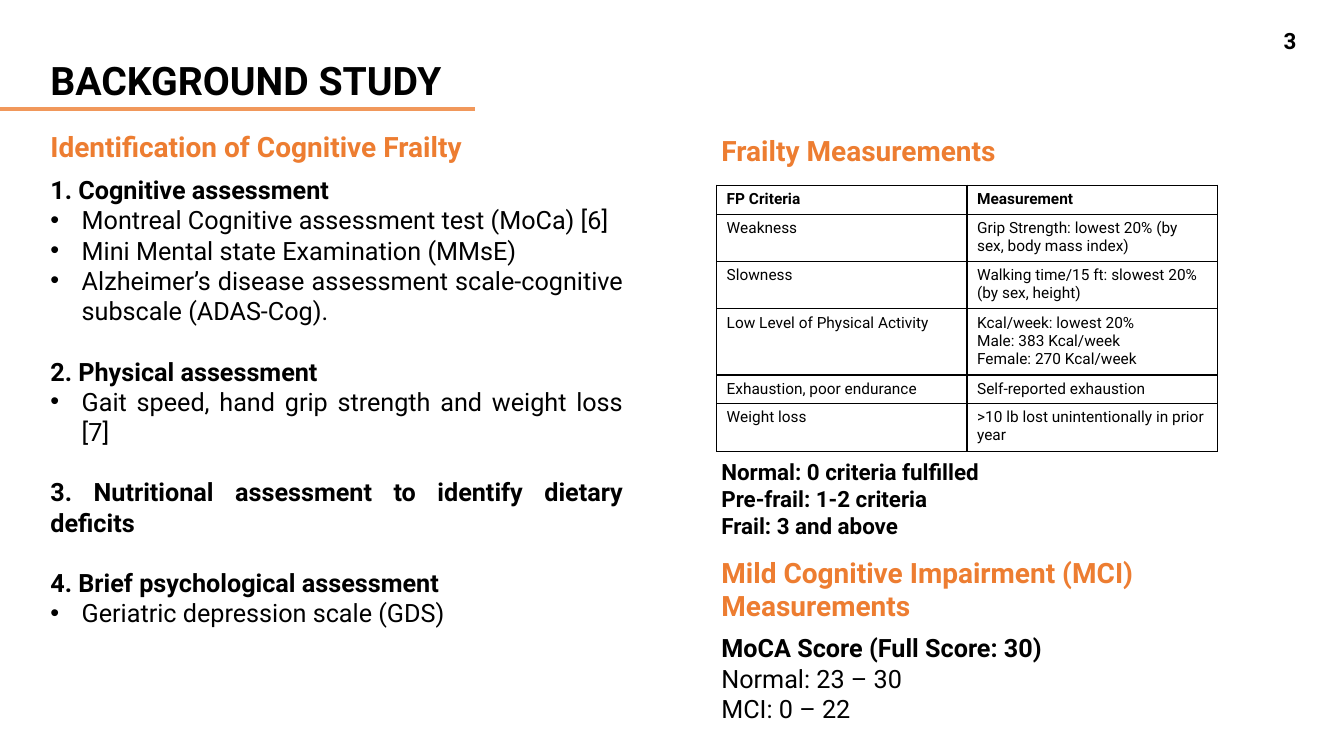
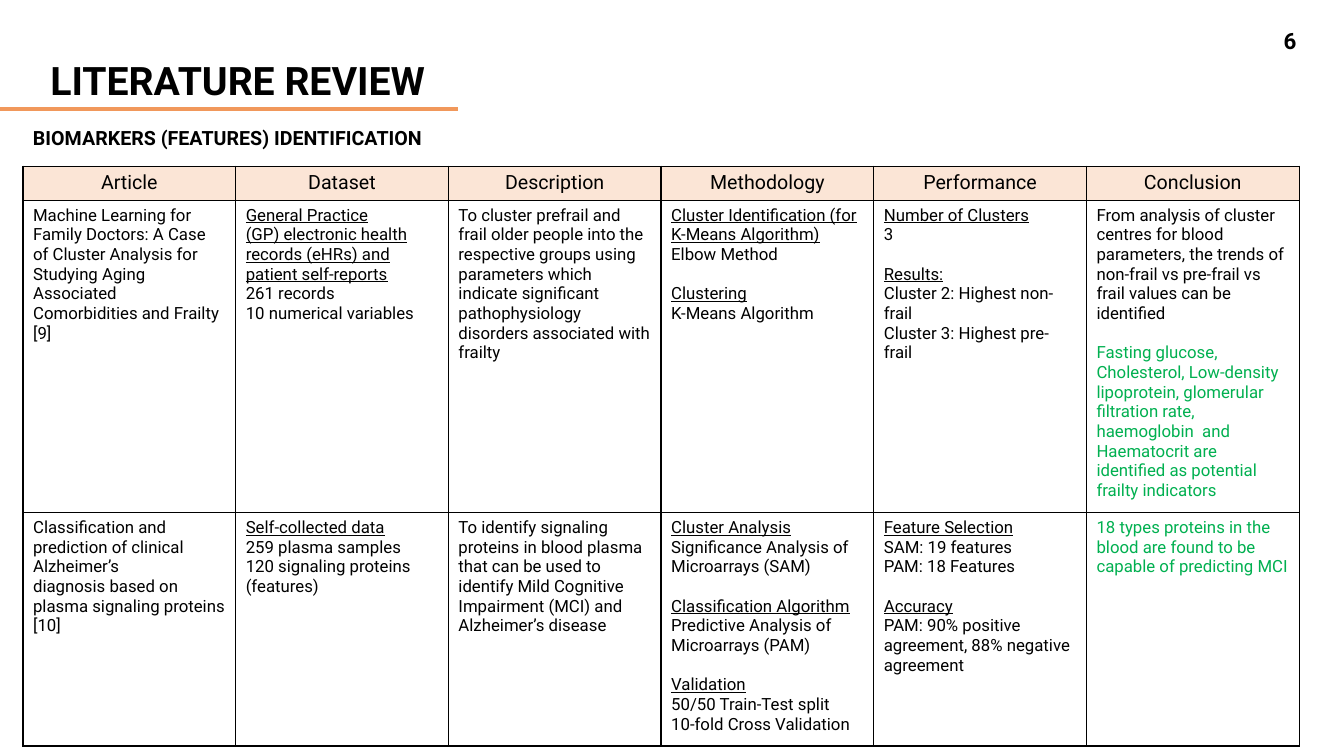
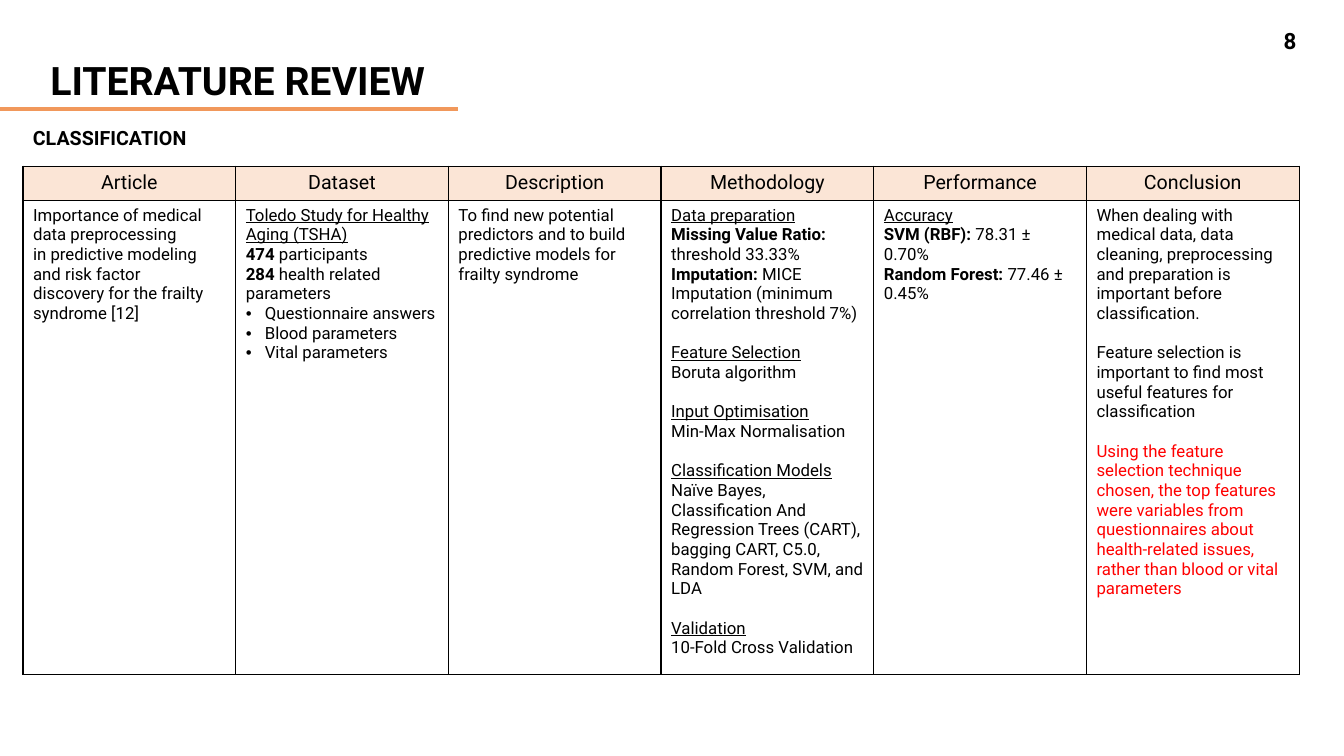
from dataclasses import dataclass

from lxml import etree
from pptx import Presentation
from pptx.dml.color import RGBColor
from pptx.enum.shapes import MSO_CONNECTOR
from pptx.enum.text import MSO_ANCHOR, PP_ALIGN
from pptx.oxml.ns import qn
from pptx.util import Cm, Pt

LEFT, CENTER, RIGHT, JUSTIFY = PP_ALIGN.LEFT, PP_ALIGN.CENTER, PP_ALIGN.RIGHT, PP_ALIGN.JUSTIFY
TOP, MIDDLE = MSO_ANCHOR.TOP, MSO_ANCHOR.MIDDLE
STRAIGHT = MSO_CONNECTOR.STRAIGHT


@dataclass(frozen=True)
class Theme:
    font: str = "Roboto"
    text: str = "000000"
    accent: str = "ED7D31"
    rule: str = "F1985B"
    header_fill: str = "FBE5D6"
    green: str = "00B050"
    red: str = "FF0000"
    title: int = 28
    heading: int = 20
    body: int = 18
    note: int = 16
    header: int = 14
    cell: int = 12
    small: int = 11


THEME = Theme()

# Content: text is a list of groups, a group is a list of paragraphs.
# A paragraph is a string or (style, string); **...** marks bold words.
UNDERLINE, BULLET, GREEN, RED = "underline", "bullet", "green", "red"

ASSESSMENTS = [
    ["**1. Cognitive assessment**",
     (BULLET, "Montreal Cognitive assessment test (MoCa) [6]"),
     (BULLET, "Mini Mental state Examination (MMsE)"),
     (BULLET, "Alzheimer’s disease assessment scale-cognitive subscale (ADAS-Cog).")],
    ["**2. Physical assessment**",
     (BULLET, "Gait speed, hand grip strength and weight loss [7]")],
    ["**3. Nutritional assessment to identify dietary deficits**"],
    ["**4. Brief psychological assessment**",
     (BULLET, "Geriatric depression scale (GDS)")],
]
FRAILTY_LEVELS = [["**Normal: 0 criteria fulfilled**", "**Pre-frail: 1-2 criteria**",
                   "**Frail: 3 and above**"]]
MOCA_SCORES = [["**MoCA Score (Full Score: 30)**", "Normal: 23 – 30", "MCI: 0 – 22"]]

FRAILTY_ROWS = [
    [[["**FP Criteria**"]], [["**Measurement**"]]],
    [[["Weakness"]], [["Grip Strength: lowest 20% (by sex, body mass index)"]]],
    [[["Slowness"]], [["Walking time/15 ft: slowest 20% (by sex, height)"]]],
    [[["Low Level of Physical Activity"]],
     [["Kcal/week: lowest 20%", "Male: 383 Kcal/week", "Female: 270 Kcal/week"]]],
    [[["Exhaustion, poor endurance"]], [["Self-reported exhaustion"]]],
    [[["Weight loss"]], [[">10 lb lost unintentionally in prior year"]]],
]
FRAILTY_HEIGHTS = [0.73, 1.19, 1.19, 1.67, 0.71, 1.2]

REVIEW_HEADERS = ["Article", "Dataset", "Description", "Methodology", "Performance", "Conclusion"]
BIOMARKER_ROWS = [
    [
        [["Machine Learning for Family Doctors: A Case",
          "of Cluster Analysis for Studying Aging",
          "Associated Comorbidities and Frailty [9]"]],
        [[(UNDERLINE, "General Practice"),
          (UNDERLINE, "(GP) electronic health records (eHRs) and patient self-reports"),
          "261 records", "10 numerical variables"]],
        [["To cluster prefrail and frail older people into the respective groups using "
          "parameters which indicate significant pathophysiology disorders associated "
          "with frailty"]],
        [[(UNDERLINE, "Cluster Identification (for K-Means Algorithm)"), "Elbow Method"],
         [(UNDERLINE, "Clustering"), "K-Means Algorithm"]],
        [[(UNDERLINE, "Number of Clusters"), "3"],
         [(UNDERLINE, "Results:"), "Cluster 2: Highest non-frail",
          "Cluster 3: Highest pre-frail"]],
        [["From analysis of cluster centres for blood parameters, the trends of non-frail "
          "vs pre-frail vs frail values can be identified"],
         [(GREEN, "Fasting glucose, Cholesterol, Low-density lipoprotein, glomerular "
                  "filtration rate, haemoglobin  and"),
          (GREEN, "Haematocrit are identified as potential frailty indicators")]],
    ],
    [
        [["Classification and prediction of clinical Alzheimer’s",
          "diagnosis based on plasma signaling proteins [10]"]],
        [[(UNDERLINE, "Self-collected data"), "259 plasma samples",
          "120 signaling proteins (features)"]],
        [["To identify signaling proteins in blood plasma that can be used to identify "
          "Mild Cognitive Impairment (MCI) and Alzheimer’s disease"]],
        [[(UNDERLINE, "Cluster Analysis"), "Significance Analysis of", "Microarrays (SAM)"],
         [(UNDERLINE, "Classification Algorithm"),
          "Predictive Analysis of Microarrays (PAM)"],
         [(UNDERLINE, "Validation"), "50/50 Train-Test split", "10-fold Cross Validation"]],
        [[(UNDERLINE, "Feature Selection"), "SAM: 19 features", "PAM: 18 Features"],
         [(UNDERLINE, "Accuracy"), "PAM: 90% positive agreement, 88% negative agreement"]],
        [[(GREEN, "18 types proteins in the blood are found to be capable of predicting MCI")]],
    ],
]
CLASSIFICATION_ROWS = [
    [
        [["Importance of medical data preprocessing",
          "in predictive modeling and risk factor",
          "discovery for the frailty syndrome [12]"]],
        [[(UNDERLINE, "Toledo Study for Healthy"), (UNDERLINE, "Aging (TSHA)"),
          "**474** participants", "**284** health related parameters",
          (BULLET, "Questionnaire answers"), (BULLET, "Blood parameters"),
          (BULLET, "Vital parameters")]],
        [["To find new potential predictors and to build predictive models for frailty "
          "syndrome"]],
        [[(UNDERLINE, "Data preparation"), "**Missing Value Ratio: **threshold 33.33%",
          "**Imputation:** MICE Imputation (minimum correlation threshold 7%)"],
         [(UNDERLINE, "Feature Selection"), "Boruta algorithm"],
         [(UNDERLINE, "Input Optimisation"), "Min-Max Normalisation"],
         [(UNDERLINE, "Classification Models"), "Naïve Bayes, Classification And",
          "Regression Trees (CART), bagging CART, C5.0, Random Forest, SVM, and LDA"],
         [(UNDERLINE, "Validation"), "10-Fold Cross Validation"]],
        [[(UNDERLINE, "Accuracy"), "**SVM (RBF):** 78.31 ± 0.70%",
          "**Random Forest: **77.46 ± 0.45%"]],
        [["When dealing with medical data, data cleaning, preprocessing and preparation is "
          "important before classification."],
         ["Feature selection is important to find most useful features for classification"],
         [(RED, "Using the feature selection technique chosen, the top features were "
                "variables from questionnaires about health-related issues, rather than "
                "blood or vital parameters")]],
    ],
]
# Subtitle, slide number, rows, row heights
REVIEWS = [
    ("BIOMARKERS (FEATURES) IDENTIFICATION", 6, BIOMARKER_ROWS, [7.87, 5.88]),
    ("CLASSIFICATION", 8, CLASSIFICATION_ROWS, [11.94]),
]

# Layout in centimetres
SLIDE_WIDTH, SLIDE_HEIGHT = 33.87, 19.05
MARGIN, RIGHT_COLUMN, REVIEW_LEFT = 1.02, 17.93, 0.58
RULE_TOP = 2.74
HEADER_HEIGHT = 0.86
FRAILTY_COLUMN, REVIEW_COLUMN = 6.31, 5.36
LINE_FACTOR = {THEME.body: 1.2}
BULLET_INDENT = {THEME.body: 0.79, THEME.cell: 0.48}


# Text helpers
def add_bullet(paragraph, indent):
    properties = paragraph._p.get_or_add_pPr()
    properties.set("marL", str(Cm(indent)))
    properties.set("indent", str(-Cm(indent)))
    font = etree.SubElement(properties, qn("a:buFont"))
    font.set("typeface", "Arial")
    etree.SubElement(properties, qn("a:buChar")).set("char", "•")


def write_paragraph(paragraph, item, size, color, alignment):
    style, text = item if isinstance(item, tuple) else (None, item)
    paragraph.alignment = alignment
    if style == BULLET:
        add_bullet(paragraph, BULLET_INDENT[size])
    color = {GREEN: THEME.green, RED: THEME.red}.get(style, color)
    for index, part in enumerate(text.split("**")):
        if not part:
            continue
        run = paragraph.add_run()
        run.text = part
        run.font.name = THEME.font
        run.font.size = Pt(size)
        run.font.bold = index % 2 == 1
        run.font.underline = style == UNDERLINE
        run.font.color.rgb = RGBColor.from_string(color)


def write_groups(text_frame, groups, size, color=THEME.text, alignment=LEFT):
    paragraph = text_frame.paragraphs[0]
    for group_index, group in enumerate(groups):
        for item_index, item in enumerate(group):
            if group_index or item_index:
                paragraph = text_frame.add_paragraph()
            if group_index and not item_index:
                paragraph.space_before = Pt(round(size * LINE_FACTOR.get(size, 1.17), 1))
            write_paragraph(paragraph, item, size, color, alignment)


def add_text(slide, box, groups, size, color=THEME.text, alignment=LEFT, anchor=TOP):
    text_frame = slide.shapes.add_textbox(*map(Cm, box)).text_frame
    text_frame.word_wrap = True
    text_frame.vertical_anchor = anchor
    write_groups(text_frame, groups, size, color, alignment)


# Table helpers
def set_borders(cell):
    properties = cell._tc.get_or_add_tcPr()
    for index, side in enumerate(("a:lnL", "a:lnR", "a:lnT", "a:lnB")):
        line = etree.Element(qn(side), w=str(Pt(1)))
        fill = etree.SubElement(line, qn("a:solidFill"))
        etree.SubElement(fill, qn("a:srgbClr")).set("val", THEME.text)
        properties.insert(index, line)


def add_grid(slide, left, top, column_width, heights, rows, size, headers=None):
    row_count, column_count = len(heights), len(rows[0])
    frame = slide.shapes.add_table(row_count, column_count, Cm(left), Cm(top),
                                   Cm(column_width * column_count), Cm(sum(heights)))
    table = frame.table
    table.first_row = table.horz_banding = False
    for column in table.columns:
        column.width = Cm(column_width)
    for row, height in zip(table.rows, heights):
        row.height = Cm(height)
    header_rows = [[[[name]] for name in headers]] if headers else []
    for row_index, row in enumerate(header_rows + rows):
        is_header = row_index < len(header_rows)
        for column_index, groups in enumerate(row):
            cell = table.cell(row_index, column_index)
            if is_header:
                cell.fill.solid()
                cell.fill.fore_color.rgb = RGBColor.from_string(THEME.header_fill)
                write_groups(cell.text_frame, groups, THEME.header, alignment=CENTER)
            else:
                cell.fill.background()
                write_groups(cell.text_frame, groups, size)
            set_borders(cell)


# Slides
def add_base_slide(presentation, title, number, rule_width):
    slide = presentation.slides.add_slide(presentation.slide_layouts[6])
    add_text(slide, (MARGIN, 1.3, 18.03, 1.45), [[f"**{title}**"]], THEME.title)
    rule = slide.shapes.add_connector(STRAIGHT, 0, Cm(RULE_TOP), Cm(rule_width), Cm(RULE_TOP))
    rule.line.color.rgb = RGBColor.from_string(THEME.rule)
    rule.line.width = Pt(3)
    etree.SubElement(rule._element.spPr, qn("a:effectLst"))
    add_text(slide, (25.3, 0.51, 7.62, 1.02), [[f"**{number}**"]], THEME.note,
             alignment=RIGHT, anchor=MIDDLE)
    return slide


def add_background_slide(presentation):
    slide = add_base_slide(presentation, "BACKGROUND STUDY", 3, 11.96)
    headings = [
        ((MARGIN, 3.15, 12.6, 1.12), ["**Identification of Cognitive Frailty**"]),
        ((RIGHT_COLUMN, 3.23, 13.61, 1.12), ["**Frailty Measurements**"]),
        ((RIGHT_COLUMN, 13.87, 15.94, 1.96),
         ["**Mild Cognitive Impairment (MCI)**", "**Measurements**"]),
    ]
    for box, lines in headings:
        add_text(slide, box, [lines], THEME.heading, THEME.accent)
    bodies = [
        ((MARGIN, 4.27, 14.94, 11.79), ASSESSMENTS, THEME.body),
        ((RIGHT_COLUMN, 11.43, 9.78, 2.31), FRAILTY_LEVELS, THEME.note),
        ((RIGHT_COLUMN, 15.82, 14.94, 2.57), MOCA_SCORES, THEME.body),
    ]
    for box, groups, size in bodies:
        add_text(slide, box, groups, size, alignment=JUSTIFY)
    add_grid(slide, 18.06, 4.67, FRAILTY_COLUMN, FRAILTY_HEIGHTS, FRAILTY_ROWS, THEME.small)


def add_review_slide(presentation, subtitle, number, rows, heights):
    slide = add_base_slide(presentation, "LITERATURE REVIEW", number, 11.53)
    add_text(slide, (REVIEW_LEFT, 3.05, 18.03, 0.86), [[f"**{subtitle}**"]], THEME.header)
    add_grid(slide, REVIEW_LEFT, 4.19, REVIEW_COLUMN, [HEADER_HEIGHT] + heights, rows,
             THEME.cell, REVIEW_HEADERS)


def main():
    presentation = Presentation()
    presentation.slide_width, presentation.slide_height = Cm(SLIDE_WIDTH), Cm(SLIDE_HEIGHT)
    add_background_slide(presentation)
    for review in REVIEWS:
        add_review_slide(presentation, *review)
    presentation.save("out.pptx")


if __name__ == "__main__":
    main()
